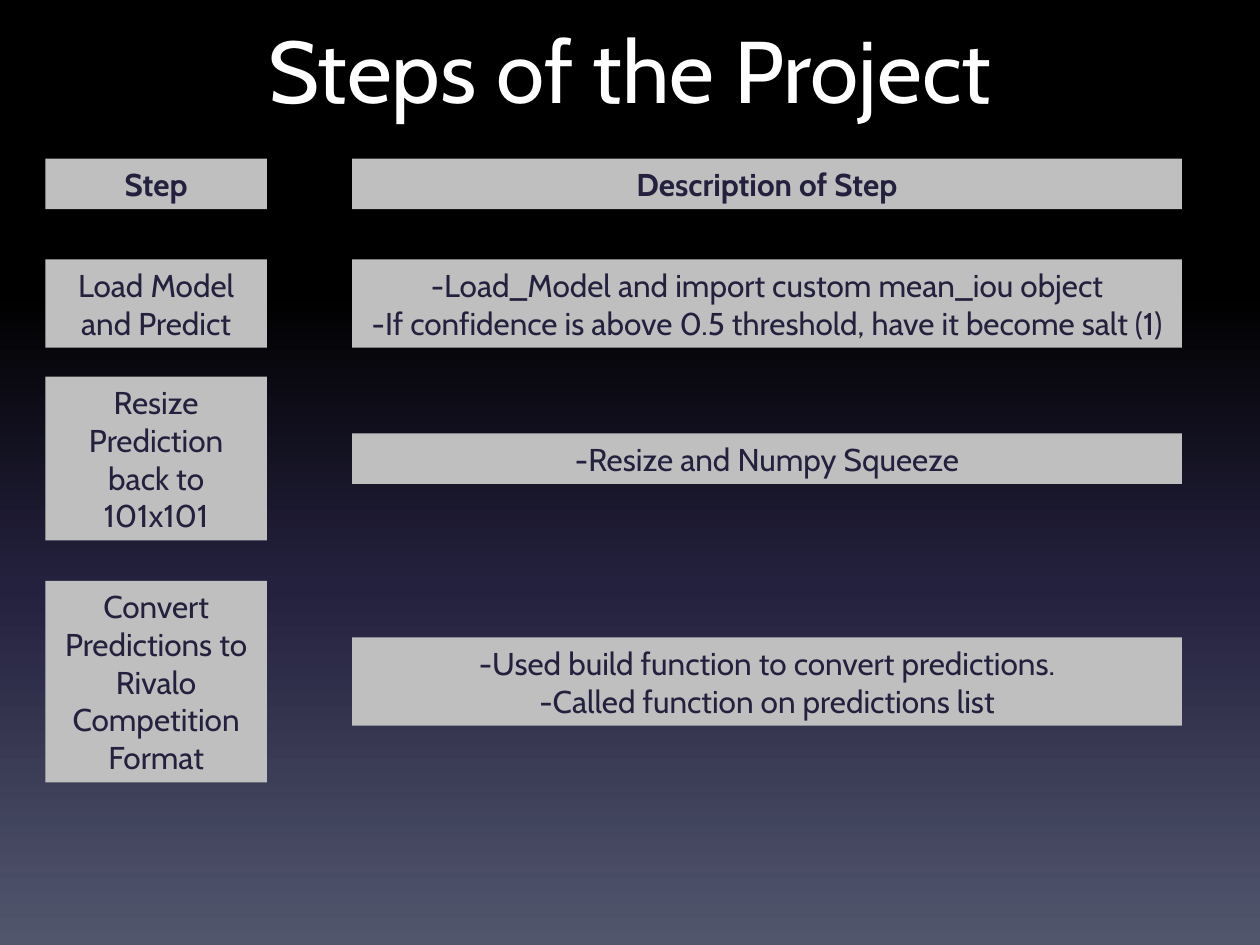
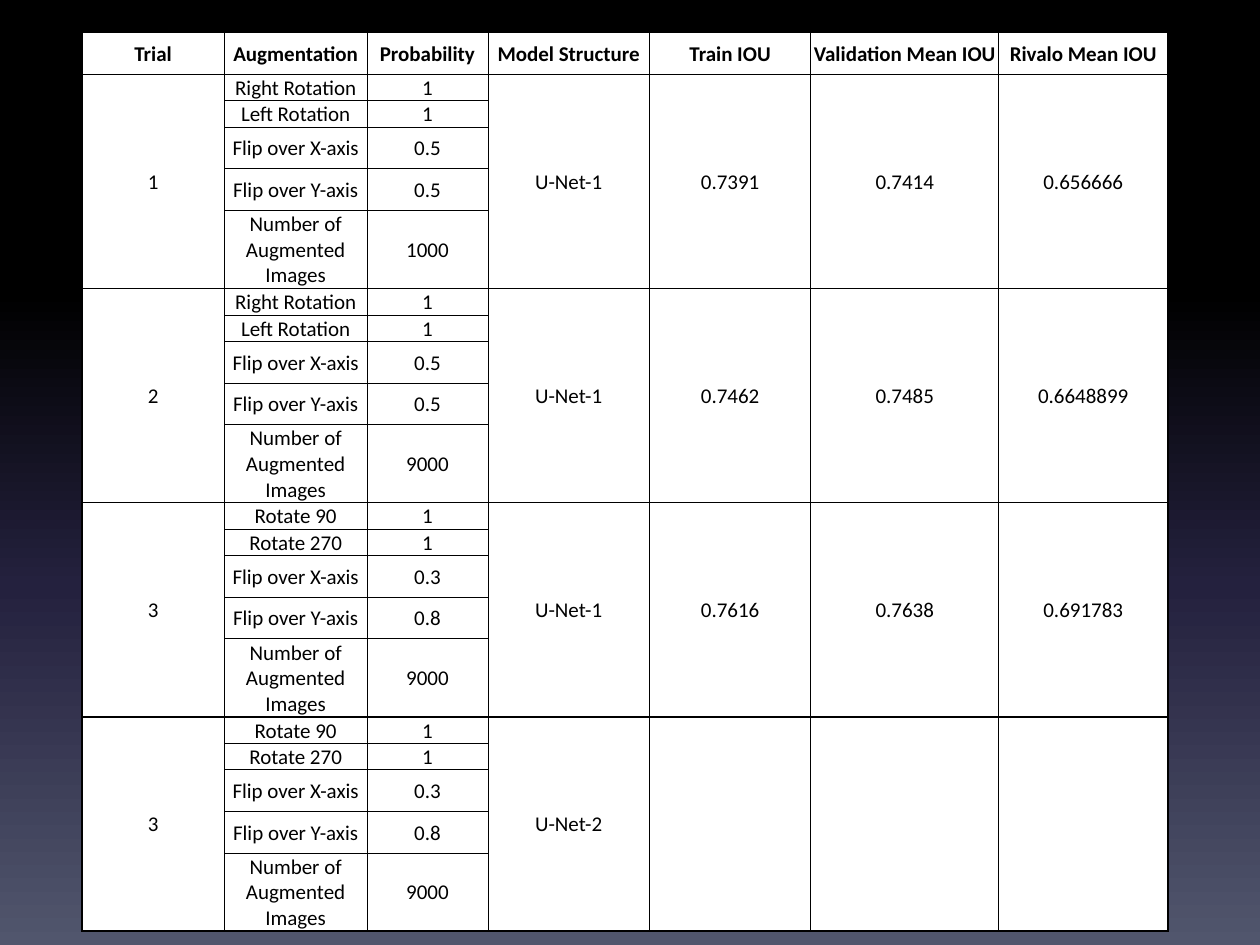
from collections import namedtuple

from lxml.etree import SubElement
from pptx import Presentation
from pptx.dml.color import RGBColor
from pptx.enum.shapes import MSO_SHAPE as Shape
from pptx.enum.text import MSO_ANCHOR as Anchor, PP_ALIGN as Align
from pptx.oxml import parse_xml
from pptx.oxml.ns import nsdecls, qn
from pptx.util import Inches, Pt

Box = namedtuple("Box", "left top width height")

SLIDE_WIDTH, SLIDE_HEIGHT = 10, 7.5
WHITE, BLACK, NAVY, GREY = "FFFFFF", "000000", "24213E", "BFBFBF"
BACKDROP = [(0, BLACK), (31, BLACK), (62, NAVY), (100, "51566D")]
TITLE_FONT, TABLE_FONT = "Cabin", "Calibri"

# Step text, description lines, number of text lines in the step, gap above in inches
STEPS = [
    ("Step", ["Description of Step"], 1, 0),
    ("Load Model and Predict",
     ["-Load_Model and import custom mean_iou object",
      "-If confidence is above 0.5 threshold, have it become salt (1)"], 2, 0.4),
    ("Resize Prediction back to 101x101", ["-Resize and Numpy Squeeze"], 4, 0.23),
    ("Convert Predictions to Rivalo Competition Format",
     ["-Used build function to convert predictions.",
      "-Called function on predictions list"], 5, 0.32),
]
LINE_HEIGHT, PADDING = 0.3, 0.1

HEADERS = ["Trial", "Augmentation", "Probability", "Model Structure",
           "Train IOU", "Validation Mean IOU", "Rivalo Mean IOU"]
TURNS = ["Right Rotation", "Left Rotation"]
ROTATES = ["Rotate 90", "Rotate 270"]
COMMON_AUGMENTATIONS = ["Flip over X-axis", "Flip over Y-axis", "Number of Augmented Images"]
# Trial, rotations, probabilities, then model structure and scores
TRIALS = [
    ("1", TURNS, ["1", "1", "0.5", "0.5", "1000"], ["U-Net-1", "0.7391", "0.7414", "0.656666"]),
    ("2", TURNS, ["1", "1", "0.5", "0.5", "9000"], ["U-Net-1", "0.7462", "0.7485", "0.6648899"]),
    ("3", ROTATES, ["1", "1", "0.3", "0.8", "9000"], ["U-Net-1", "0.7616", "0.7638", "0.691783"]),
    ("3", ROTATES, ["1", "1", "0.3", "0.8", "9000"], ["U-Net-2", "", "", ""]),
]
COLUMN_WEIGHTS = [1.13, 1.13, 0.96, 1.28, 1.28, 1.49, 1.34]
TRIAL_ROW_WEIGHTS = [0.21, 0.21, 0.33, 0.33, 0.62]
HEADER_WEIGHT = 0.33
TRIAL_ROWS = len(TRIAL_ROW_WEIGHTS)
THIN, THICK = 0.5, 1


def color(value):
    return RGBColor.from_string(value)


def inches(box):
    return [Inches(length) for length in box]


def write(frame, lines, size=18, font=TITLE_FONT, fill=NAVY, bold=False):
    """Fill a text frame with one centred paragraph per line."""
    for index, line in enumerate(lines):
        paragraph = frame.add_paragraph() if index else frame.paragraphs[0]
        paragraph.alignment = Align.CENTER
        run = paragraph.add_run()
        run.text = line
        run.font.size, run.font.name, run.font.bold = Pt(size), font, bold
        run.font.color.rgb = color(fill)


def paint_background(master):
    fill = master.background.fill
    fill.gradient()
    fill.gradient_angle = 270
    stops = next(master.element.iter(qn("a:gsLst")))
    for stop in list(stops):
        stops.remove(stop)
    for position, value in BACKDROP:
        stop = SubElement(stops, qn("a:gs"), pos=str(position * 1000))
        SubElement(stop, qn("a:srgbClr"), val=value)


def add_title(slide, box, text):
    frame = slide.shapes.add_textbox(*inches(box)).text_frame
    frame.word_wrap = True
    frame.vertical_anchor = Anchor.MIDDLE
    write(frame, [text], size=50, fill=WHITE)


def add_panel(slide, box, lines, bold):
    shape = slide.shapes.add_shape(Shape.RECTANGLE, *inches(box))
    shape.shadow.inherit = False
    shape.fill.solid()
    shape.fill.fore_color.rgb = color(GREY)
    shape.line.fill.background()
    shape.text_frame.word_wrap = True
    shape.text_frame.vertical_anchor = Anchor.MIDDLE
    write(shape.text_frame, lines, bold=bold)


def add_step_rows(slide, box):
    """Stack the steps, each description centred beside its step."""
    step_width, description_left = box.width * 0.195, box.width * 0.27
    top = box.top
    for index, (step, description, line_count, gap) in enumerate(STEPS):
        top += gap
        height = PADDING + LINE_HEIGHT * line_count
        description_height = PADDING + LINE_HEIGHT * len(description)
        header = index == 0
        add_panel(slide, Box(box.left, top, step_width, height), [step], header)
        add_panel(slide, Box(box.left + description_left,
                             top + (height - description_height) / 2,
                             box.width - description_left, description_height),
                  description, header)
        top += height


def table_rows():
    rows = [HEADERS]
    for trial, rotations, probabilities, results in TRIALS:
        augmentations = rotations + COMMON_AUGMENTATIONS
        for index, pair in enumerate(zip(augmentations, probabilities)):
            first = index == 0
            rows.append([trial if first else "", *pair,
                         *(results if first else [""] * len(results))])
    return rows


def set_borders(cell, widths):
    """Draw the given sides, a mapping from L, R, T, B to points."""
    properties = cell._tc.get_or_add_tcPr()
    for index, (side, width) in enumerate(widths.items()):
        properties.insert(index, parse_xml(
            f'<a:ln{side} {nsdecls("a")} w="{Pt(width)}"><a:solidFill>'
            f'<a:srgbClr val="{BLACK}"/></a:solidFill></a:ln{side}>'))


def border_widths(cell, row, column):
    ends_trial = row > 0 and row % TRIAL_ROWS == 0
    starts_trial = row > 1 and row % TRIAL_ROWS == 1
    merged = cell.is_merge_origin
    widths = {
        "L": THICK if column == 0 else THIN,
        "R": THICK if column == len(HEADERS) - 1 else THIN,
        "T": THICK if row == 0 or starts_trial else THIN,
        "B": THICK if ends_trial or merged else THIN,
    }
    if cell.is_spanned:
        del widths["T"]
        if not ends_trial:
            del widths["B"]
    return widths


def add_trial_table(slide, box):
    rows = table_rows()
    table = slide.shapes.add_table(len(rows), len(HEADERS), *inches(box)).table
    table.first_row = table.horz_banding = False
    row_weights = [HEADER_WEIGHT] + TRIAL_ROW_WEIGHTS * len(TRIALS)
    for column, weight in zip(table.columns, COLUMN_WEIGHTS):
        column.width = Inches(box.width * weight / sum(COLUMN_WEIGHTS))
    for row, weight in zip(table.rows, row_weights):
        row.height = Inches(box.height * weight / sum(row_weights))

    for first in range(1, len(rows), TRIAL_ROWS):
        for column in (0, *range(3, len(HEADERS))):
            table.cell(first, column).merge(table.cell(first + TRIAL_ROWS - 1, column))

    for row, values in enumerate(rows):
        for column, value in enumerate(values):
            cell = table.cell(row, column)
            cell.margin_left = cell.margin_right = cell.margin_top = Inches(0.01)
            cell.margin_bottom = 0
            cell.vertical_anchor = Anchor.MIDDLE
            cell.fill.solid()
            cell.fill.fore_color.rgb = color(WHITE)
            write(cell.text_frame, [value], size=12, font=TABLE_FONT, fill=BLACK, bold=row == 0)
            set_borders(cell, border_widths(cell, row, column))


def main():
    presentation = Presentation()
    presentation.slide_width = Inches(SLIDE_WIDTH)
    presentation.slide_height = Inches(SLIDE_HEIGHT)
    paint_background(presentation.slide_master)
    blank = presentation.slide_layouts[6]

    steps_slide = presentation.slides.add_slide(blank)
    add_title(steps_slide, Box(SLIDE_WIDTH * 0.05, 0.02, SLIDE_WIDTH * 0.9, SLIDE_HEIGHT * 0.14),
              "Steps of the Project")
    add_step_rows(steps_slide, Box(0.36, 1.26, 9.02, 4.97))

    trials_slide = presentation.slides.add_slide(blank)
    add_trial_table(trials_slide, Box(0.65, 0.26, 8.62, 7.13))

    presentation.save("out.pptx")


if __name__ == "__main__":
    main()
